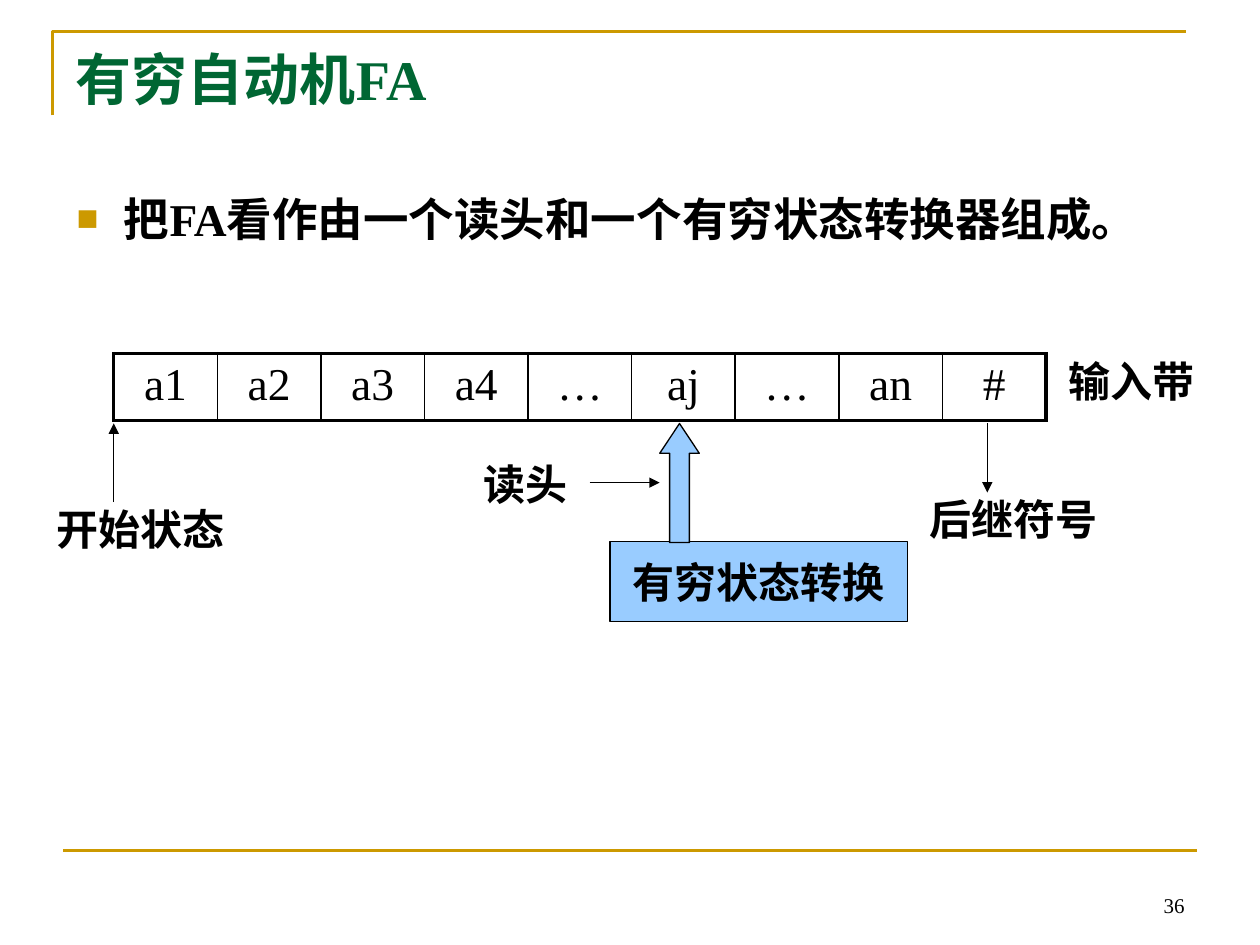
"""Build the slide that shows a finite automaton reading an input tape."""
from lxml import etree
from pptx import Presentation
from pptx.dml.color import RGBColor
from pptx.enum.shapes import MSO_CONNECTOR, MSO_SHAPE
from pptx.enum.text import MSO_ANCHOR, MSO_AUTO_SIZE, PP_ALIGN
from pptx.oxml.ns import qn
from pptx.util import Pt

LEFT, CENTER, RIGHT = PP_ALIGN.LEFT, PP_ALIGN.CENTER, PP_ALIGN.RIGHT
TOP, MIDDLE, BOTTOM = MSO_ANCHOR.TOP, MSO_ANCHOR.MIDDLE, MSO_ANCHOR.BOTTOM
NO_AUTOSIZE, GROW = MSO_AUTO_SIZE.NONE, MSO_AUTO_SIZE.SHAPE_TO_FIT_TEXT
STRAIGHT = MSO_CONNECTOR.STRAIGHT
RECT, UP_ARROW = MSO_SHAPE.RECTANGLE, MSO_SHAPE.UP_ARROW

COLORS = {"gold": "CC9900", "green": "006633", "black": "000000", "blue": "99CCFF"}
FONT = "Times New Roman"


def rgb(name):
    return RGBColor.from_string(COLORS[name])


def sub(parent, tag, **attrs):
    return etree.SubElement(parent, qn(tag), attrs)


class Deck:
    """Holds the presentation, its style and the current slide."""

    def __init__(self, width, height):
        self.prs = Presentation()
        self.prs.slide_width, self.prs.slide_height = Pt(width), Pt(height)
        self.s = self.prs.slides.add_slide(self.prs.slide_layouts[5])

    def put_text(self, tf, text, size, color="black", bold=True, align=LEFT, bullet=None):
        p = tf.paragraphs[0]
        p.alignment = align
        if bullet:
            pPr = p._p.get_or_add_pPr()
            pPr.set("marL", str(Pt(27)))
            pPr.set("indent", str(Pt(-27)))
            sub(sub(pPr, "a:buClr"), "a:srgbClr", val=COLORS["gold"])
            sub(pPr, "a:buSzPct", val="80000")
            sub(pPr, "a:buFont", typeface=FONT)
            sub(pPr, "a:buChar", char=bullet)
        r = p.add_run()
        r.text = text
        for name, value in {"name": FONT, "size": Pt(size), "bold": bold}.items():
            setattr(r.font, name, value)
        r.font.color.rgb = rgb(color)

    def frame(self, tf, wrap=True, anchor=TOP, auto_size=NO_AUTOSIZE):
        values = {"word_wrap": wrap, "vertical_anchor": anchor, "auto_size": auto_size}
        for name, value in values.items():
            setattr(tf, name, value)
        return tf

    def title(self, text, x, y, w, h):
        sp = self.s.shapes.title
        for name, value in {"left": x, "top": y, "width": w, "height": h}.items():
            setattr(sp, name, Pt(value))
        self.put_text(self.frame(sp.text_frame), text, 32, "green")

    def text(self, text, x, y, w, h, size, anchor=TOP, **style):
        sp = self.s.shapes.add_textbox(Pt(x), Pt(y), Pt(w), Pt(h))
        self.put_text(self.frame(sp.text_frame, anchor=anchor), text, size, **style)

    def label(self, text, x, y):
        size = 24
        w = size * len(text) + 14.4
        sp = self.s.shapes.add_textbox(Pt(x), Pt(y), Pt(w), Pt(36))
        self.put_text(self.frame(sp.text_frame, False, auto_size=GROW), text, size)

    def line(self, x1, y1, x2, y2, color="black", width=0.75, arrow=True):
        sp = self.s.shapes.add_connector(STRAIGHT, Pt(x1), Pt(y1), Pt(x2), Pt(y2))
        sp.line.color.rgb = rgb(color)
        sp.line.width = Pt(width)
        spPr = sp.element.spPr
        if arrow:
            sub(spPr.find(qn("a:ln")), "a:tailEnd", type="triangle")
        sub(spPr, "a:effectLst")

    def corner(self, start, *points):
        fb = self.s.shapes.build_freeform(Pt(start[0]), Pt(start[1]))
        fb.add_line_segments([(Pt(x), Pt(y)) for x, y in points], close=False)
        sp = fb.convert_to_shape()
        sp.shadow.inherit = False
        sp.fill.background()
        sp.line.color.rgb = rgb("gold")
        sp.line.width = Pt(1.5)

    def shape(self, group, kind, x, y, w, h, text=None, adjustments=()):
        sp = group.shapes.add_shape(kind, Pt(x), Pt(y), Pt(w), Pt(h))
        sp.shadow.inherit = False
        sp.fill.solid()
        sp.fill.fore_color.rgb = rgb("blue")
        sp.line.color.rgb = rgb("black")
        sp.line.width = Pt(0.75)
        for i, value in enumerate(adjustments):
            sp.adjustments[i] = value
        if text:
            tf = self.frame(sp.text_frame, False, MIDDLE)
            self.put_text(tf, text, 24, align=CENTER)

    def tape(self, symbols, x, y, w, h):
        sp = self.s.shapes.add_table(1, len(symbols), Pt(x), Pt(y), Pt(w), Pt(h))
        table = sp.table
        table.first_row = table.horz_banding = False
        last = len(symbols) - 1
        for i, symbol in enumerate(symbols):
            table.columns[i].width = Pt(w / len(symbols))
            cell = table.cell(0, i)
            self.put_text(cell.text_frame, symbol, 26, bold=False, align=CENTER)
            sides = {"L": 1 if i else 2.25, "R": 1 if i < last else 2.25,
                     "T": 2.25, "B": 2.25}
            tcPr = cell._tc.get_or_add_tcPr()
            for side, width in sides.items():
                ln = sub(tcPr, f"a:ln{side}", w=str(Pt(width)))
                sub(sub(ln, "a:solidFill"), "a:srgbClr", val=COLORS["black"])
            cell.fill.background()


def main():
    deck = Deck(720, 540)
    deck.corner((30, 66), (30, 18), (678, 18))
    deck.line(36, 486, 684, 486, "gold", 1.5, arrow=False)
    deck.title("有穷自动机FA", 36, 21.6, 648, 67)

    deck.tape(["a1", "a2", "a3", "a4", "…", "aj", "…", "an", "#"], 65, 202, 532.8, 38.2)
    deck.text("把FA看作由一个读头和一个有穷状态转换器组成。", 36.7, 105.8, 641, 57, 26, bullet="■")

    deck.line(65, 287, 65, 242)
    deck.line(564.2, 242, 564.2, 281.5)
    deck.line(337, 275.8, 377, 275.8)

    group = deck.s.shapes.add_group_shape()
    deck.shape(group, RECT, 348.5, 309.6, 170, 45.4, "有穷状态转换")
    deck.shape(group, UP_ARROW, 377, 242, 22.6, 68, adjustments=(0.5, 0.753))

    for text, x, y in (("开始状态", 25.2, 284.4), ("后继符号", 524.2, 278.6),
                       ("读头", 269.3, 258.5), ("输入带", 603.7, 199.4)):
        deck.label(text, x, y)
    deck.text("36", 516, 492, 168, 36, 12, BOTTOM, bold=False, align=RIGHT)
    deck.prs.save("out.pptx")


if __name__ == "__main__":
    main()
